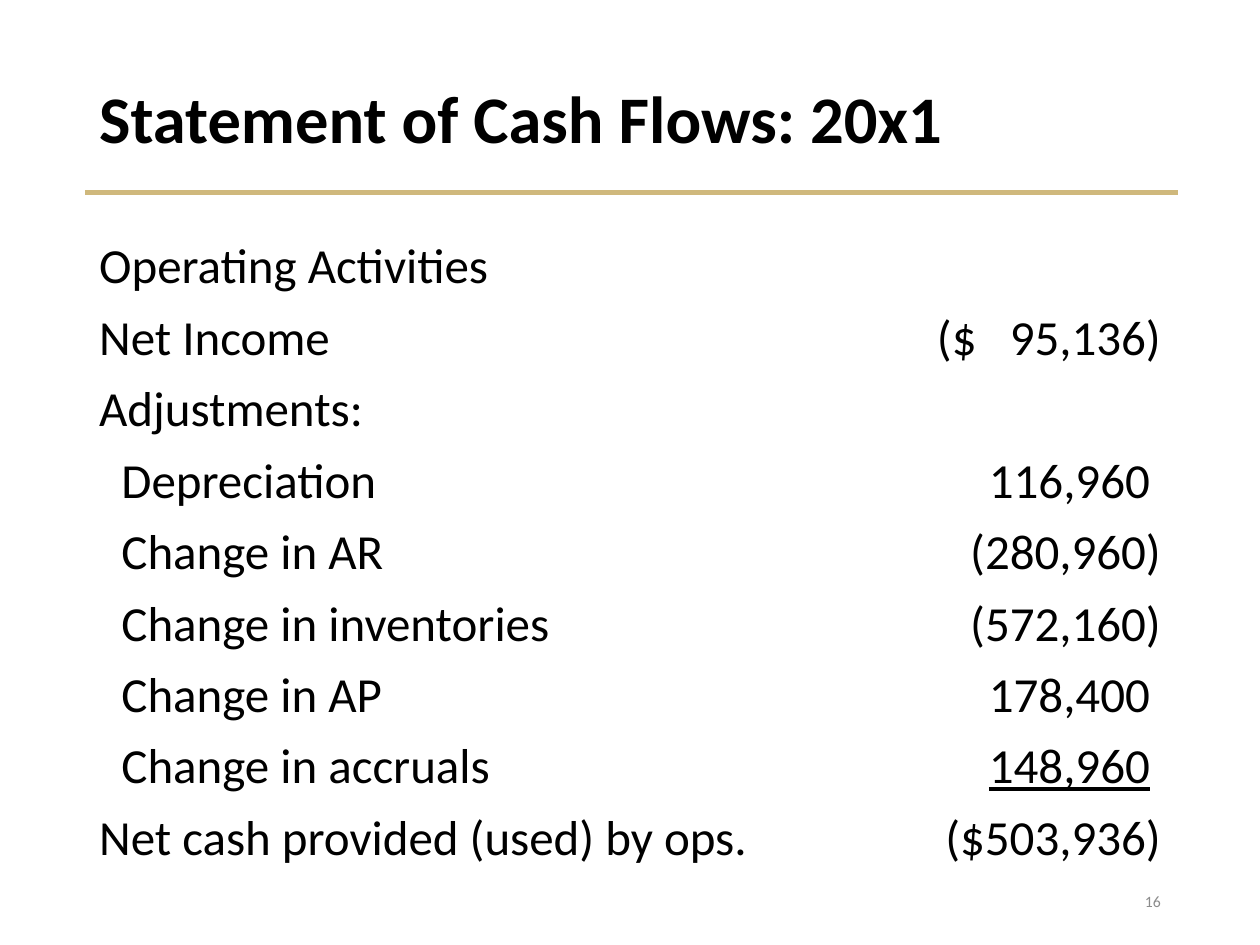
from pptx import Presentation
from pptx.dml.color import RGBColor
from pptx.enum.shapes import MSO_CONNECTOR
from pptx.enum.text import MSO_ANCHOR, PP_ALIGN
from pptx.oxml.ns import qn
from pptx.util import Cm, Pt
from lxml.etree import SubElement

BLACK = RGBColor(0x00, 0x00, 0x00)
GREY = RGBColor(0x8C, 0x8C, 0x8C)
GOLD = RGBColor(0xCF, 0xB8, 0x7C)
FONT = "Calibri"

TITLE = "Statement of Cash Flows: 20x1"
PAGE = "16"
# label, amount, indented, underlined
ROWS = [
    ("Operating Activities", "", False, False),
    ("Net Income", "($   95,136)", False, False),
    ("Adjustments:", "", False, False),
    ("Depreciation", "116,960", True, False),
    ("Change in AR", "(280,960)", True, False),
    ("Change in inventories", "(572,160)", True, False),
    ("Change in AP", "178,400", True, False),
    ("Change in accruals", "148,960", True, True),
    ("Net cash provided (used) by ops.", "($503,936)", False, False),
]

LEFT, WIDTH = 1.75, 21.9
COLUMNS = (16.0, 5.9)
ROW_HEIGHT = 1.44
MARGIN, INDENT, BRACKET = 0.25, 0.45, 0.22


def write(tf, text, size, color=BLACK, align=PP_ALIGN.LEFT):
    p = tf.paragraphs[0]
    p.alignment = align
    p.add_run().text = text
    p.font.name = FONT
    p.font.size = Pt(size)
    p.font.color.rgb = color
    return p


def add_text(s, box, text, size, **style):
    tf = s.shapes.add_textbox(*map(Cm, box)).text_frame
    tf.word_wrap = True
    tf.vertical_anchor = MSO_ANCHOR.MIDDLE
    return write(tf, text, size, **style)


def add_rule(s):
    rule = s.shapes.add_connector(
        MSO_CONNECTOR.STRAIGHT, Cm(1.72), Cm(3.88), Cm(23.75), Cm(3.88))
    rule.line.color.rgb = GOLD
    rule.line.width = Pt(3)
    SubElement(rule.line._get_or_add_ln().getparent(), qn("a:effectLst"))


def add_statement(s):
    table = s.shapes.add_table(
        len(ROWS), len(COLUMNS), Cm(LEFT), Cm(4.65),
        Cm(WIDTH), Cm(ROW_HEIGHT * len(ROWS))).table
    table.first_row = table.horz_banding = False
    for column, width in zip(table.columns, COLUMNS):
        column.width = Cm(width)
    for i, (label, amount, indented, underlined) in enumerate(ROWS):
        table.rows[i].height = Cm(ROW_HEIGHT)
        name, value = table.cell(i, 0), table.cell(i, 1)
        for cell in (name, value):
            cell.fill.background()
        name.margin_left = Cm(MARGIN + INDENT * indented)
        value.margin_right = Cm(MARGIN + BRACKET * (not amount.endswith(")")))
        write(name.text_frame, label, 28)
        p = write(value.text_frame, amount, 28, align=PP_ALIGN.RIGHT)
        if underlined:
            p.runs[0].font.underline = True


def main():
    prs = Presentation()
    prs.slide_width, prs.slide_height = Cm(25.4), Cm(19.05)
    s = prs.slides.add_slide(prs.slide_layouts[6])
    add_rule(s)
    title = add_text(s, (LEFT, 1.02, WIDTH, 2.87), TITLE, 38)
    title.font.bold = True
    title.line_spacing = 0.9
    add_statement(s)
    add_text(s, (17.93, 17.65, 5.72, 1.02), PAGE, 9,
             color=GREY, align=PP_ALIGN.RIGHT)
    prs.save("out.pptx")


if __name__ == "__main__":
    main()
